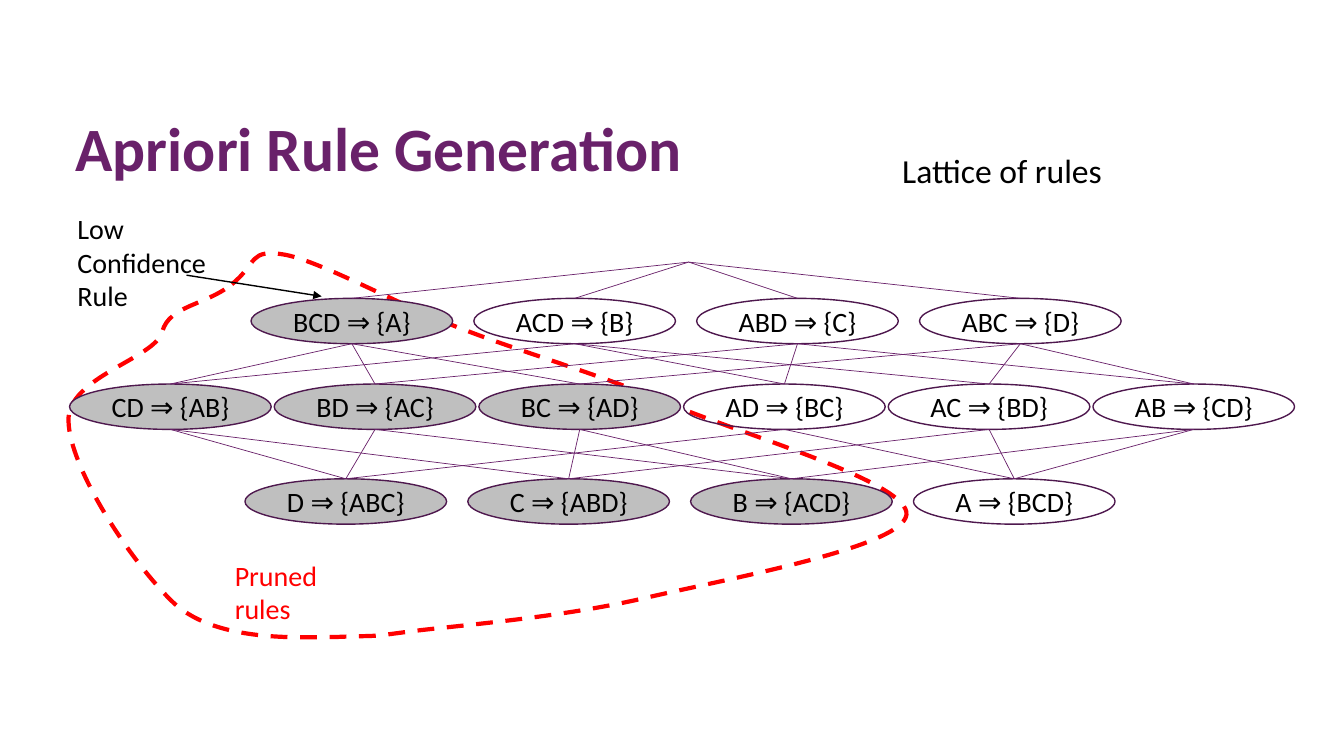
from dataclasses import dataclass
from typing import Any

from pptx import Presentation
from pptx.dml.color import RGBColor
from pptx.enum.dml import MSO_LINE_DASH_STYLE as Dash
from pptx.enum.shapes import MSO_CONNECTOR as Connector, MSO_SHAPE as Shape
from pptx.enum.text import MSO_ANCHOR as Anchor, MSO_AUTO_SIZE as AutoSize, PP_ALIGN as Align
from pptx.oxml.ns import qn
from pptx.util import Pt

PX = 9144  # EMU per px, 100 px to the inch

PURPLE = RGBColor(0x69, 0x21, 0x6A)
DARK_PURPLE = RGBColor(0x4E, 0x18, 0x4E)
GREY = RGBColor(0xBF, 0xBF, 0xBF)
RED = RGBColor(0xFF, 0x00, 0x00)
BLACK = RGBColor(0x00, 0x00, 0x00)

ITEMS = "ABCD"
NODE_WIDTH, NODE_HEIGHT = 200, 45
LATTICE_TOP = (683, 260)


@dataclass(frozen=True)
class Level:
    left: int
    top: int
    step: int
    antecedents: tuple[str, ...]
    pruned: int  # number of pruned rules, counted from the left


@dataclass(frozen=True)
class Label:
    text: str
    left: int
    top: int
    width: int
    height: int
    size: int
    color: RGBColor
    wrap: bool = True


LEVELS = (
    Level(249, 296, 221, ("BCD", "ACD", "ABD", "ABC"), 1),
    Level(69, 381, 203, ("CD", "BD", "BC", "AD", "AC", "AB"), 3),
    Level(243, 475, 221, ("D", "C", "B", "A"), 3),
)

LABELS = (
    Label("Lattice of rules", 885, 144, 221, 50, 24, BLACK, wrap=False),
    Label("Low Confidence Rule", 67, 205, 167, 110, 20, BLACK),
    Label("Pruned rules", 223, 549, 158, 77, 20, RED),
)

# Boundary of the pruned rules: two control points and an end point per curve
BOUNDARY_START = (230, 282)
BOUNDARY_CURVES = (
    ((256, 261), (246, 246), (284, 253)),
    ((322, 261), (396, 303), (460, 327)),
    ((525, 352), (597, 372), (670, 403)),
    ((743, 433), (904, 480), (899, 511)),
    ((894, 543), (723, 574), (641, 593)),
    ((560, 612), (461, 620), (410, 626)),
    ((359, 633), (378, 630), (333, 632)),
    ((296, 632), (211, 638), (169, 595)),
    ((126, 552), (69, 463), (68, 418)),
    ((66, 374), (154, 356), (161, 329)),
    ((168, 303), (204, 303), (230, 282)),
)


def set_all(target: Any, values: dict[str, Any]) -> None:
    for name, value in values.items():
        setattr(target, name, value)


def place(box: Any, left: int, top: int, width: int, height: int) -> None:
    set_all(box, {"left": left * PX, "top": top * PX,
                  "width": width * PX, "height": height * PX})


def write(box: Any, text: str, size: int, color: RGBColor,
          frame: dict[str, Any], para: dict[str, Any], bold: bool = False) -> None:
    set_all(box.text_frame, frame)
    paragraph = box.text_frame.paragraphs[0]
    set_all(paragraph, para)
    span = paragraph.add_run()
    span.text = text
    set_all(span.font, {"name": "Calibri", "size": Pt(size), "bold": bold})
    span.font.color.rgb = color


def draw_line(shapes: Any, start: tuple[int, int], end: tuple[int, int],
              color: RGBColor, width: float, arrow: bool = False) -> None:
    line = shapes.add_connector(
        Connector.STRAIGHT, *(value * PX for value in start + end))
    line.line.color.rgb = color
    line.line.width = Pt(width)
    properties = line.element.spPr
    if arrow:
        head = properties.find(qn("a:ln")).makeelement(qn("a:tailEnd"), {"type": "triangle"})
        properties.find(qn("a:ln")).append(head)
    properties.append(properties.makeelement(qn("a:effectLst"), {}))


def draw_boundary(shapes: Any) -> None:
    builder = shapes.build_freeform(*BOUNDARY_START, scale=PX)
    builder.add_line_segments([point for curve in BOUNDARY_CURVES for point in curve])
    boundary = builder.convert_to_shape()
    boundary.shadow.inherit = False
    boundary.fill.background()
    boundary.line.color.rgb = RED
    set_all(boundary.line, {"width": Pt(3), "dash_style": Dash.DASH})
    # Join every three segments into one Bézier curve
    segments = boundary.element.xpath(".//a:lnTo")
    for first in range(0, len(segments), 3):
        curve = segments[first].makeelement(qn("a:cubicBezTo"), {})
        segments[first].addprevious(curve)
        for segment in segments[first:first + 3]:
            curve.append(segment[0])
            segment.getparent().remove(segment)


def draw_node(shapes: Any, level: Level, index: int) -> None:
    antecedent = level.antecedents[index]
    consequent = "".join(item for item in ITEMS if item not in antecedent)
    node = shapes.add_shape(Shape.OVAL, 0, 0, PX, PX)
    place(node, level.left + index * level.step, level.top, NODE_WIDTH, NODE_HEIGHT)
    node.shadow.inherit = False
    if index < level.pruned:
        node.fill.solid()
        node.fill.fore_color.rgb = GREY
    else:
        node.fill.background()
    node.line.color.rgb = DARK_PURPLE
    node.line.width = Pt(1)
    write(node, f"{antecedent} ⇒ {{{consequent}}}", 20, BLACK,
          {"word_wrap": False, "vertical_anchor": Anchor.MIDDLE},
          {"alignment": Align.CENTER})


def node_point(level: Level, index: int, bottom: bool = False) -> tuple[int, int]:
    return (level.left + index * level.step + NODE_WIDTH // 2,
            level.top + NODE_HEIGHT * bottom)


def draw_lattice(shapes: Any) -> None:
    for level in LEVELS:
        for index in range(len(level.antecedents)):
            draw_node(shapes, level, index)
    for index in range(len(LEVELS[0].antecedents)):
        draw_line(shapes, LATTICE_TOP, node_point(LEVELS[0], index), PURPLE, 0.5)
    # A rule leads to those whose antecedent is a subset of its own
    for upper, lower in zip(LEVELS, LEVELS[1:]):
        for parent, larger in enumerate(upper.antecedents):
            for child, smaller in enumerate(lower.antecedents):
                if set(smaller) < set(larger):
                    draw_line(shapes, node_point(upper, parent, bottom=True),
                              node_point(lower, child), PURPLE, 0.5)


def main() -> None:
    deck = Presentation()
    set_all(deck, {"slide_width": 1333 * PX, "slide_height": 750 * PX})
    page = deck.slides.add_slide(deck.slide_layouts[5])

    # Title
    title = page.shapes.title
    place(title, 65, 112, 1150, 138)
    write(title, "Apriori Rule Generation", 44, PURPLE,
          {"vertical_anchor": Anchor.TOP, "auto_size": AutoSize.NONE},
          {"alignment": Align.LEFT, "line_spacing": 0.9}, bold=True)

    # Pruned region and the arrow to the low-confidence rule
    draw_boundary(page.shapes)
    draw_line(page.shapes, (185, 273), (319, 294), BLACK, 1, arrow=True)

    # Labels
    for label in LABELS:
        box = page.shapes.add_textbox(0, 0, PX, PX)
        place(box, label.left, label.top, label.width, label.height)
        write(box, label.text, label.size, label.color,
              {"word_wrap": label.wrap, "auto_size": AutoSize.SHAPE_TO_FIT_TEXT},
              {"alignment": Align.LEFT})

    # Lattice of rules
    draw_lattice(page.shapes.add_group_shape().shapes)

    deck.save("out.pptx")


if __name__ == "__main__":
    main()
